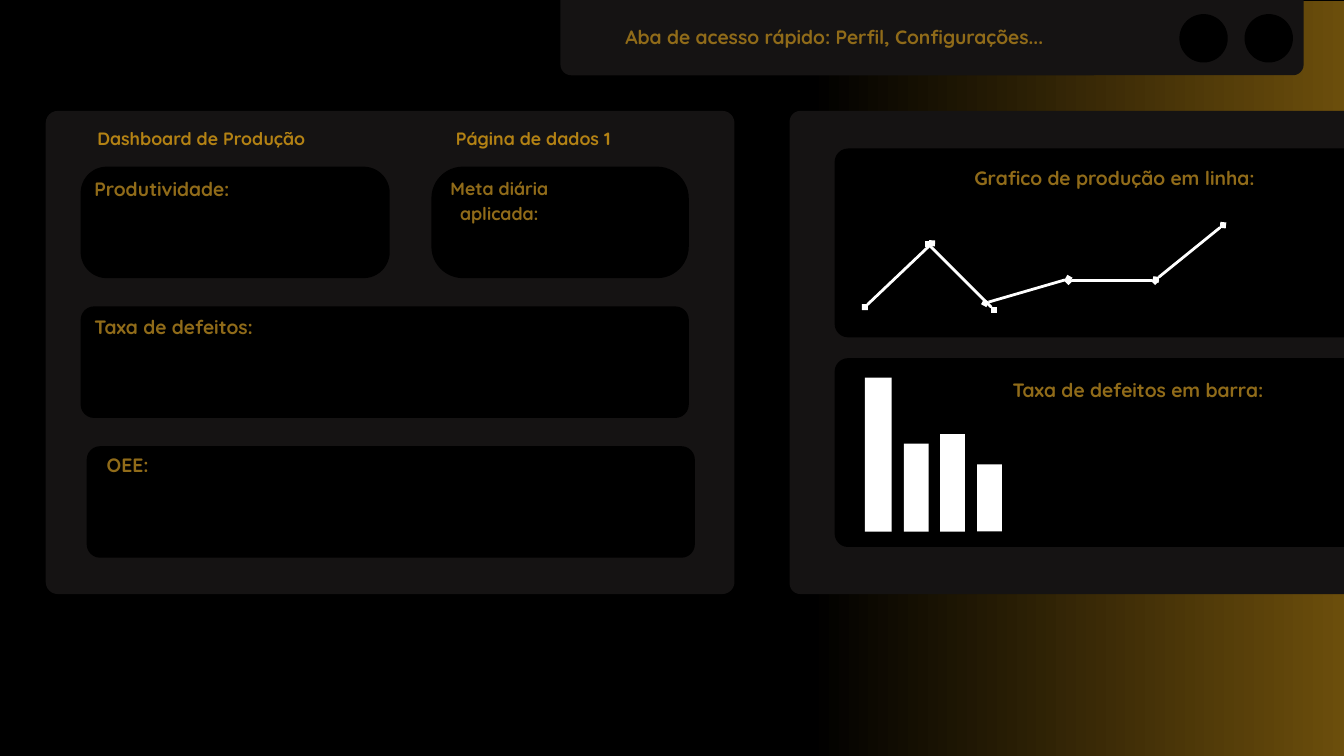
from lxml.etree import SubElement
from pptx import Presentation
from pptx.dml.color import RGBColor
from pptx.enum.shapes import MSO_CONNECTOR, MSO_SHAPE
from pptx.enum.text import MSO_AUTO_SIZE, PP_ALIGN
from pptx.oxml.ns import qn
from pptx.util import Inches, Pt

BLACK = RGBColor(0x00, 0x00, 0x00)
PANEL = RGBColor(0x15, 0x13, 0x13)
WHITE = RGBColor(0xFF, 0xFF, 0xFF)
GOLD = RGBColor(0xC8, 0x91, 0x16)
LABEL = RGBColor(0x90, 0x6B, 0x19)
TITLE = RGBColor(0xDE, 0xA0, 0x15)


def add_block(kind, left, top, width, height, color, radius=None):
    """Add a borderless filled shape; radius is the corner radius in inches."""
    sp = s.shapes.add_shape(kind, Inches(left), Inches(top), Inches(width), Inches(height))
    sp.shadow.inherit = False
    sp.fill.solid()
    sp.fill.fore_color.rgb = color
    sp.line.fill.background()
    if radius is not None:
        sp.adjustments[0] = radius / min(width, height)
    return sp


def add_label(text, left, top, width, height, size, spacing, color):
    box = s.shapes.add_textbox(Inches(left), Inches(top), Inches(width), Inches(height))
    tf = box.text_frame
    tf.margin_left = tf.margin_right = tf.margin_top = tf.margin_bottom = 0
    tf.word_wrap = True
    tf.auto_size = MSO_AUTO_SIZE.SHAPE_TO_FIT_TEXT
    tf.text = text
    p = tf.paragraphs[0]
    p.alignment = PP_ALIGN.CENTER
    p.line_spacing = Pt(spacing)
    r = p.runs[0]
    r.font.name = "Quicksand"
    r.font.size = Pt(size)
    r.font.bold = True
    r.font.color.rgb = color
    return r


prs = Presentation()
prs.slide_width, prs.slide_height = Inches(20), Inches(11.25)
s = prs.slides.add_slide(prs.slide_layouts[6])
s.background.fill.solid()
s.background.fill.fore_color.rgb = BLACK

# Gold glow on the right
glow = add_block(MSO_SHAPE.RECTANGLE, 12.04, 0, 14.71, 12.39, BLACK)
glow.fill.gradient()
glow.fill.gradient_angle = 0
for stop, color, position in zip(glow.fill.gradient_stops, (BLACK, GOLD), (0, 1)):
    stop.color.rgb = color
    stop.position = position
glow.line.color.rgb = BLACK
glow.line.width = Pt(1)

# Quick access bar
add_block(MSO_SHAPE.ROUNDED_RECTANGLE, 8.34, -1.28, 11.06, 2.4, PANEL, 0.16)
for left in (18.52, 17.55):
    add_block(MSO_SHAPE.OVAL, left, 0.21, 0.72, 0.72, BLACK)

# Panels, each followed by its cards
for left, top, width, height, color, radius in (
    (0.68, 1.65, 10.25, 7.19, PANEL, 0.18),
    (1.2, 2.48, 4.6, 1.66, BLACK, 0.39),
    (6.42, 2.48, 3.83, 1.66, BLACK, 0.47),
    (1.2, 4.56, 9.05, 1.66, BLACK, 0.2),
    (1.29, 6.64, 9.05, 1.66, BLACK, 0.2),
    (11.75, 1.65, 10.93, 7.19, PANEL, 0.16),
    (12.42, 2.21, 9.05, 2.81, BLACK, 0.2),
    (12.42, 5.33, 9.05, 2.81, BLACK, 0.2),
):
    add_block(MSO_SHAPE.ROUNDED_RECTANGLE, left, top, width, height, color, radius)

# Production line
for x1, y1, x2, y2 in (
    (12.87, 4.57, 13.87, 3.62),
    (13.81, 3.63, 14.79, 4.61),
    (14.66, 4.51, 15.9, 4.15),
    (15.9, 4.18, 17.19, 4.18),
    (17.2, 4.16, 18.2, 3.35),
):
    segment = s.shapes.add_connector(
        MSO_CONNECTOR.STRAIGHT, Inches(x1), Inches(y1), Inches(x2), Inches(y2))
    segment.line.color.rgb = WHITE
    segment.line.width = Pt(3)
    ln = segment.line._get_or_add_ln()
    for end in ("a:headEnd", "a:tailEnd"):
        SubElement(ln, qn(end), type="diamond")
    SubElement(segment._element.spPr, qn("a:effectLst"))

# Defect bars
BASELINE = 7.91
for left, width, height in (
    (12.87, 0.4, 2.29),
    (13.45, 0.37, 1.31),
    (13.99, 0.37, 1.45),
    (14.54, 0.37, 1),
):
    add_block(MSO_SHAPE.RECTANGLE, left, BASELINE - height, width, height, WHITE)

# Texts
for text, left in (("Dashboard de Produção", 0.68), ("Página de dados 1", 5.62)):
    r = add_label(text, left, 1.85, 4.63, 0.36, 19.1, 26.8, TITLE)
    SubElement(r._r.find(".//" + qn("a:srgbClr")), qn("a:alpha"), val="79000")

add_label("Meta diária aplicada:", 6.42, 2.59, 2.02, 0.72, 19.1, 26.7, LABEL)
for text, left, top, width in (
    ("Produtividade:", 1.31, 2.58, 2.2),
    ("Taxa de defeitos:", 1.32, 4.63, 2.53),
    ("OEE:", 0.8, 6.69, 2.2),
    ("Grafico de produção em linha:", 14.3, 2.41, 4.57),
    ("Taxa de defeitos em barra:", 14.65, 5.57, 4.57),
    ("Aba de acesso rápido: Perfil, Configurações...", 8.79, 0.31, 7.25),
):
    add_label(text, left, top, width, 0.39, 20.7, 29, LABEL)

prs.save("out.pptx")
